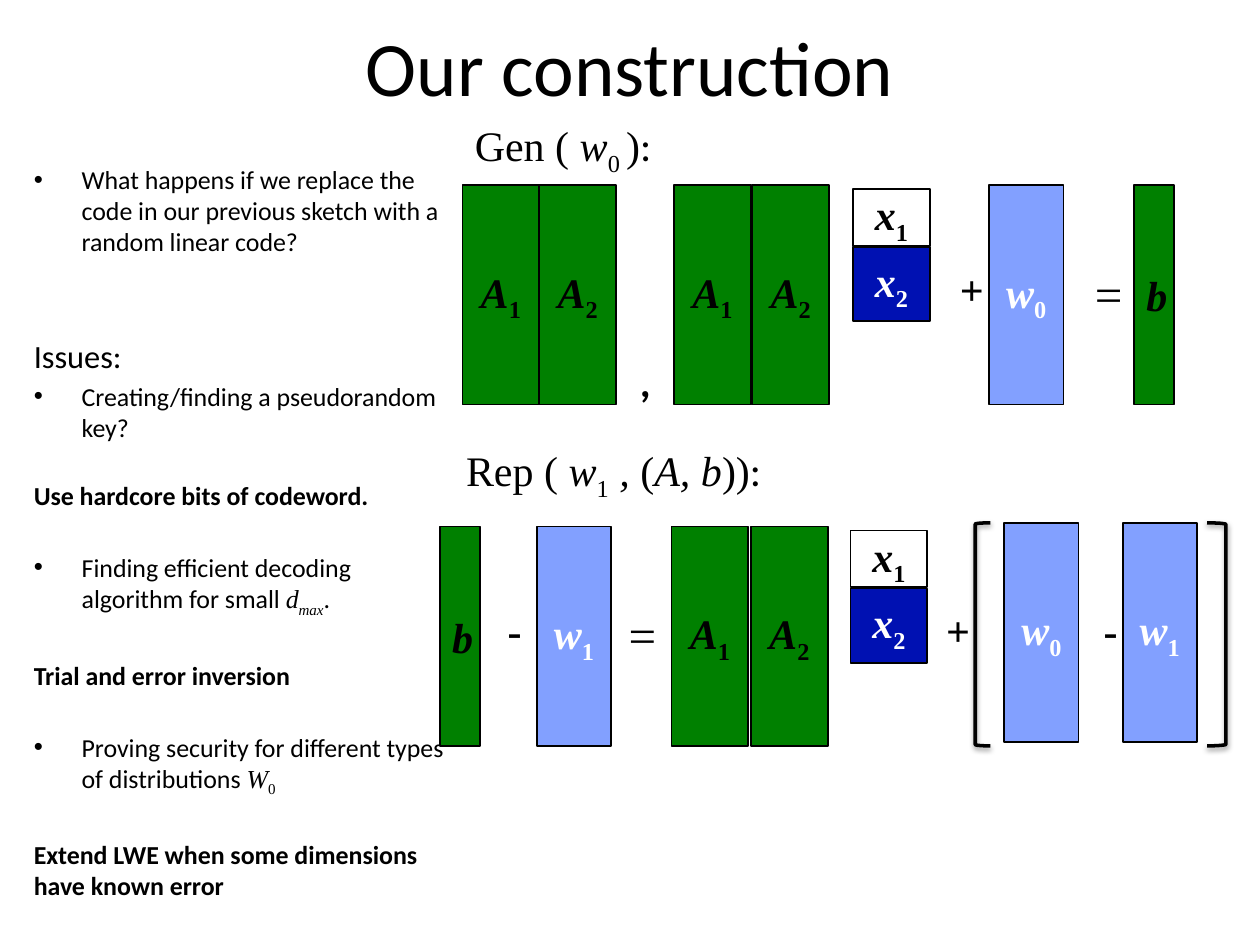
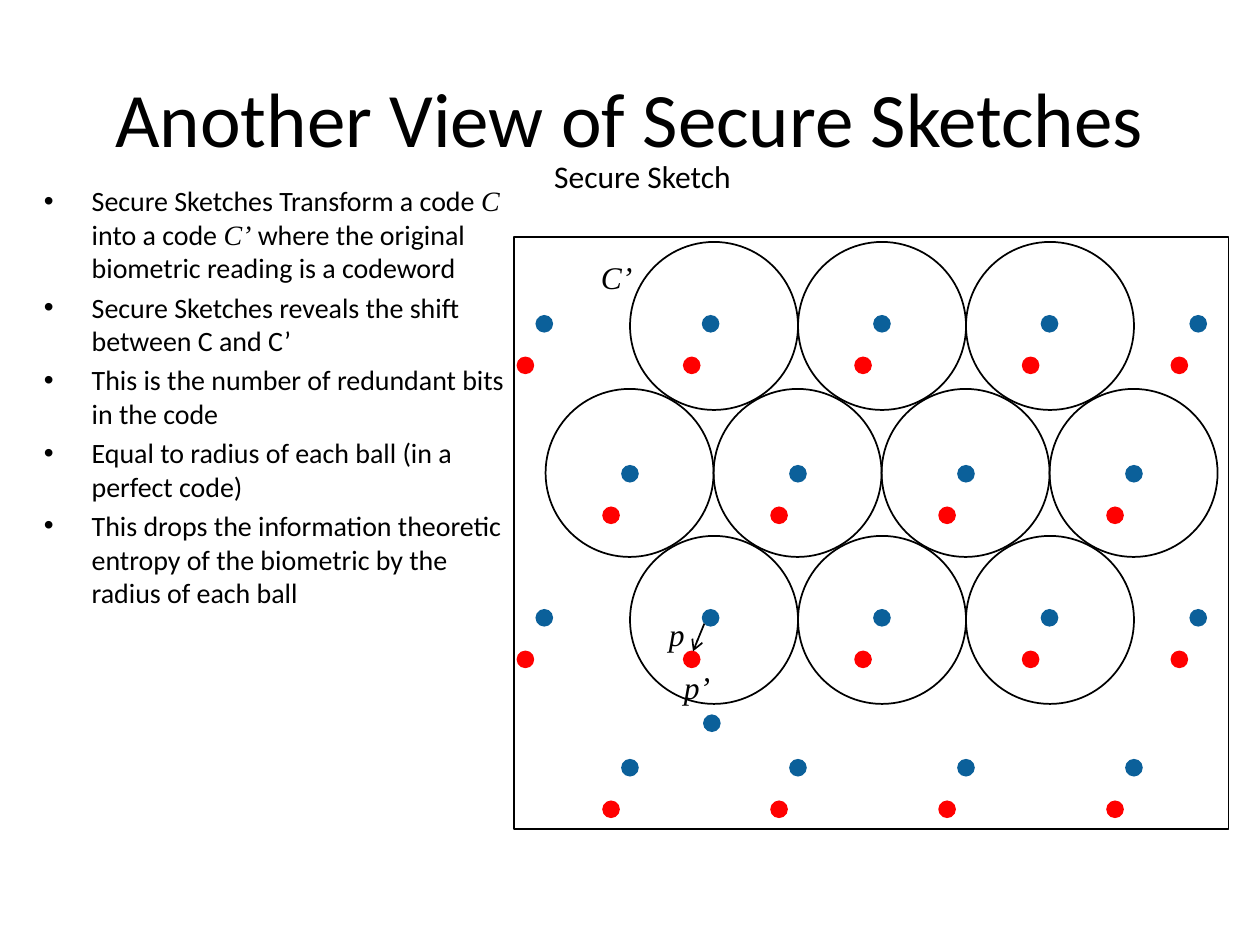
import pptx
import pptx.util
import pptx.dml.color
import pptx.enum.shapes
import pptx.enum.text
import pptx.oxml
import pptx.oxml.ns
import lxml.etree

Inches, Pt = pptx.util.Inches, pptx.util.Pt
KIND = pptx.enum.shapes.MSO_SHAPE
ALIGN = pptx.enum.text.PP_ALIGN
ANCHOR = pptx.enum.text.MSO_ANCHOR

THEME = {
    "sans": "Calibri", "serif": "Times New Roman",
    "ink": "000000", "light": "FFFFFF", "matrix": "008000", "secret": "0011B2",
    "noise": "82A0FF", "codeword": "0B609A", "shifted": "FF0000",
    "title": 44, "math": 24, "equals": 28, "label": 18,
    "issues": 14.8, "heading": 18.5, "points": 16,
    "line": 1, "bracket": 2, "hanging": 0.38,
}

# Run flags: s serif, i italic, b bold, _ subscript
TITLES = [("Our construction", -0.1), ("Another View of Secure Sketches", 0.3)]

# Paragraphs: bulleted, size, points above, runs
ISSUES = [
    (True, "issues", 0, [("What happens if we replace the code in our previous sketch with a random linear code?", "")]),
    (False, "heading", 45.5, [("Issues:", "")]),
    (True, "issues", 3, [("Creating/finding a pseudorandom key?", "")]),
    (False, "issues", 21, [("Use hardcore bits of codeword.", "b")]),
    (True, "issues", 23.5, [("Finding efficient decoding algorithm for small ", ""),
                            ("d", "si"), ("max", "si_"), (".", "")]),
    (False, "issues", 23.5, [("Trial and error inversion", "b")]),
    (True, "issues", 23.5, [("Proving security for different types of distributions ", ""),
                            ("W", "si"), ("0", "s_")]),
    (False, "issues", 23.5, [("Extend LWE when some dimensions have known error", "b")]),
]
POINTS = [(True, "points", 3.2, runs) for runs in (
    [("Secure Sketches Transform a code ", ""), ("C", "si"), (" into a code ", ""), ("C’", "si"),
     (" where the original biometric reading is a codeword", "")],
    [("Secure Sketches reveals the shift between C and C’", "")],
    [("This is the number of redundant bits in the code", "")],
    [("Equal to radius of each ball (in a perfect code)", "")],
    [("This drops the information theoretic entropy of the biometric by the radius of each ball", "")],
)]

ALGORITHMS = [
    (3.67, 0.9, 1.67, [("Gen ( ", "s"), ("w", "si"), ("0 ", "s_"), (")", "s"), (":", "")]),
    (3.6, 3.48, 2.58, [("Rep ( ", "s"), ("w", "si"), ("1", "s_"), (" , ", "si"), ("(", "s"),
                       ("A, b", "si"), ("))", "s"), (":", "")]),
]

# Blocks: drop below the equation's top, width, height, fill, ink
BLOCKS = {
    "A": (0, 0.61, 1.74, "matrix", "ink"),
    "b": (0, 0.32, 1.74, "matrix", "ink"),
    "w": (0, 0.59, 1.74, "noise", "light"),
    "x1": (0.03, 0.61, 0.45, None, "ink"),
    "x2": (0.49, 0.61, 0.59, "secret", "light"),
}
BRACKETED_RISE = 0.03
EQUATIONS = [
    (1.47,
     [("A1", 3.67), ("A2", 4.28), ("A1", 5.35), ("A2", 5.97), ("x1", 6.77), ("x2", 6.77),
      ("w0", 7.85), ("b", 9)],
     [("+", 7.52), ("=", 8.59)], []),
    (4.18,
     [("b", 3.49), ("w1", 4.26), ("A1", 5.33), ("A2", 5.96), ("x1", 6.75), ("x2", 6.75)],
     [("-", 3.93), ("=", 4.89), ("+", 7.41), ("-", 8.66)],
     [("w0", 7.97), ("w1", 8.91)]),
]
BRACKETS = [(7.74, 0.12, False), (9.58, 0.15, True)]

FRAME = (4.08, 1.88, 5.67, 4.7)
BALL, ROW, DOT = 4 / 3, 7 / 6, 0.14
BALL_TOP = 1.92
BALL_ROWS = [(5, 3), (4.33, 4), (5, 3)]
OUTER_DOTS = [4.25, 5.57, 6.93, 8.26, 9.44]
INNER_DOTS = [4.93 + BALL * column for column in range(4)]
DOT_ROWS = [(top + 2 * ROW * pair, row) for pair in range(2)
            for top, row in ((2.5, OUTER_DOTS), (3.69, INNER_DOTS))]
SHIFTS = {"codeword": (0, 0), "shifted": (-0.15, 0.33)}
LONE_CODEWORD = (5.58, 5.67)
LABELS = [("Secure Sketch", "", 4.3, 1.2, 2.39), ("p", "si", 5.21, 4.83, 0.37),
          ("C’", "si", 4.67, 2, 0.47), ("p’", "si", 5.33, 5.25, 0.46)]
SHIFT_ARROW = (5.59, 4.95, 5.5, 5.17)


def apply(target, values):
    for name, value in values.items():
        setattr(target, name, value)


def colour(name):
    return pptx.dml.color.RGBColor.from_string(THEME[name])


def lengths(*values):
    return [Inches(value) for value in values]


def add_runs(paragraph, runs, size, ink="ink"):
    for words, flags in runs:
        run = paragraph.add_run()
        run.text = words
        apply(run.font, {"name": THEME["serif" if "s" in flags else "sans"],
                         "size": Pt(THEME[size]), "bold": "b" in flags, "italic": "i" in flags})
        run.font.color.rgb = colour(ink)
        if "_" in flags:
            run._r.get_or_add_rPr().set("baseline", "-25000")


def add_text(slide, place, runs, size, align=ALIGN.LEFT, **frame):
    text = slide.shapes.add_textbox(*lengths(*place)).text_frame
    apply(text, {"word_wrap": True, **frame})
    text.paragraphs[0].alignment = align
    add_runs(text.paragraphs[0], runs, size)


def add_label(slide, place, runs, size):
    add_text(slide, place, runs, size, word_wrap=False,
             auto_size=pptx.enum.text.MSO_AUTO_SIZE.SHAPE_TO_FIT_TEXT)


def add_body(slide, place, paragraphs):
    text = slide.shapes.add_textbox(*lengths(*place)).text_frame
    text.word_wrap = True
    for index, (bulleted, size, above, runs) in enumerate(paragraphs):
        paragraph = text.add_paragraph() if index else text.paragraphs[0]
        paragraph.space_before = Pt(above)
        add_runs(paragraph, runs, size)
        if bulleted:
            properties = paragraph._p.get_or_add_pPr()
            properties.set("marL", str(Inches(THEME["hanging"])))
            properties.set("indent", str(-Inches(THEME["hanging"])))
            for tag, key, value in (("a:buFont", "typeface", "Arial"), ("a:buChar", "char", "•")):
                lxml.etree.SubElement(properties, pptx.oxml.ns.qn(tag)).set(key, value)


def add_figure(slide, kind, place, fill=None, line="line"):
    figure = slide.shapes.add_shape(kind, *lengths(*place))
    figure.shadow.inherit = False
    if fill:
        figure.fill.solid()
        figure.fill.fore_color.rgb = colour(fill)
    else:
        figure.fill.background()
    if line:
        figure.line.color.rgb = colour("ink")
        figure.line.width = Pt(THEME[line])
    else:
        figure.line.fill.background()
    return figure


def add_block(slide, symbol, left, top):
    drop, width, height, fill, ink = BLOCKS.get(symbol) or BLOCKS[symbol[0]]
    block = add_figure(slide, KIND.RECTANGLE, (left, top + drop, width, height), fill)
    block.text_frame.vertical_anchor = ANCHOR.MIDDLE
    paragraph = block.text_frame.paragraphs[0]
    paragraph.alignment = ALIGN.CENTER
    runs = [(symbol[0], "sbi")] + [(index, "sb_") for index in symbol[1:]]
    add_runs(paragraph, runs, "math", ink)


def add_bracket(slide, left, top, width, mirrored):
    bracket = add_figure(slide, KIND.LEFT_BRACKET, (left, top, width, 1.77), line="bracket")
    properties = bracket._element.spPr
    if mirrored:
        properties.xfrm.set("flipH", "1")
    effects = properties.find(pptx.oxml.ns.qn("a:effectLst"))
    effects.append(pptx.oxml.parse_xml(
        f'<a:outerShdw {pptx.oxml.ns.nsdecls("a")} blurRad="{Pt(3.1)}" dist="{Pt(1.6)}" '
        f'dir="5400000" rotWithShape="0"><a:srgbClr val="{THEME["ink"]}">'
        '<a:alpha val="38000"/></a:srgbClr></a:outerShdw>'))


def add_arrow(slide, ends):
    arrow = slide.shapes.add_connector(pptx.enum.shapes.MSO_CONNECTOR.STRAIGHT, *lengths(*ends))
    arrow.line.color.rgb = colour("ink")
    arrow.line.width = Pt(THEME["line"])
    head = lxml.etree.SubElement(arrow.line._get_or_add_ln(), pptx.oxml.ns.qn("a:tailEnd"))
    head.set("type", "arrow")
    lxml.etree.SubElement(arrow._element.spPr, pptx.oxml.ns.qn("a:effectLst"))


def draw_construction(slide):
    for left, top, width, runs in ALGORITHMS:
        add_label(slide, (left, top, width, 0.5), runs, "math")
    for top, blocks, operators, bracketed in EQUATIONS:
        for symbol, left in blocks:
            add_block(slide, symbol, left, top)
        for sign, left in operators:
            size, flags = ("equals", "s") if sign == "=" else ("math", "sb")
            add_text(slide, (left, top + 0.57, 0.28, 0.5), [(sign, flags)], size, ALIGN.CENTER)
        for symbol, left in bracketed:
            add_block(slide, symbol, left, top - BRACKETED_RISE)
        if bracketed:
            for left, width, mirrored in BRACKETS:
                add_bracket(slide, left, top - BRACKETED_RISE, width, mirrored)
    add_label(slide, (4.98, 2.77, 0.29, 0.5), [(",", "b")], "math")
    add_body(slide, (0.17, 1.25, 3.5, 5.97), ISSUES)


def draw_sketch(slide):
    add_body(slide, (0.25, 1.41, 3.9, 5.28), POINTS)
    add_figure(slide, KIND.RECTANGLE, FRAME)
    for row, (left, count) in enumerate(BALL_ROWS):
        for column in range(count):
            add_figure(slide, KIND.OVAL, (left + BALL * column, BALL_TOP + ROW * row, BALL, BALL))
    dots = [(name, left + right, top + down) for name, (right, down) in SHIFTS.items()
            for top, row in DOT_ROWS for left in row]
    for name, left, top in dots + [("codeword", *LONE_CODEWORD)]:
        add_figure(slide, KIND.OVAL, (left, top, DOT, DOT), name, line=None)
    for words, flags, left, top, width in LABELS:
        add_label(slide, (left, top, width, 0.4), [(words, flags)], "label")
    add_arrow(slide, SHIFT_ARROW)


def main():
    deck = pptx.Presentation()
    apply(deck, {"slide_width": Inches(10), "slide_height": Inches(7.5)})
    for (title, top), draw in zip(TITLES, (draw_construction, draw_sketch)):
        slide = deck.slides.add_slide(deck.slide_layouts[6])
        add_text(slide, (0.5, top, 9, 1.25), [(title, "")], "title", ALIGN.CENTER,
                 vertical_anchor=ANCHOR.MIDDLE)
        draw(slide)
    deck.save("out.pptx")


if __name__ == "__main__":
    main()
